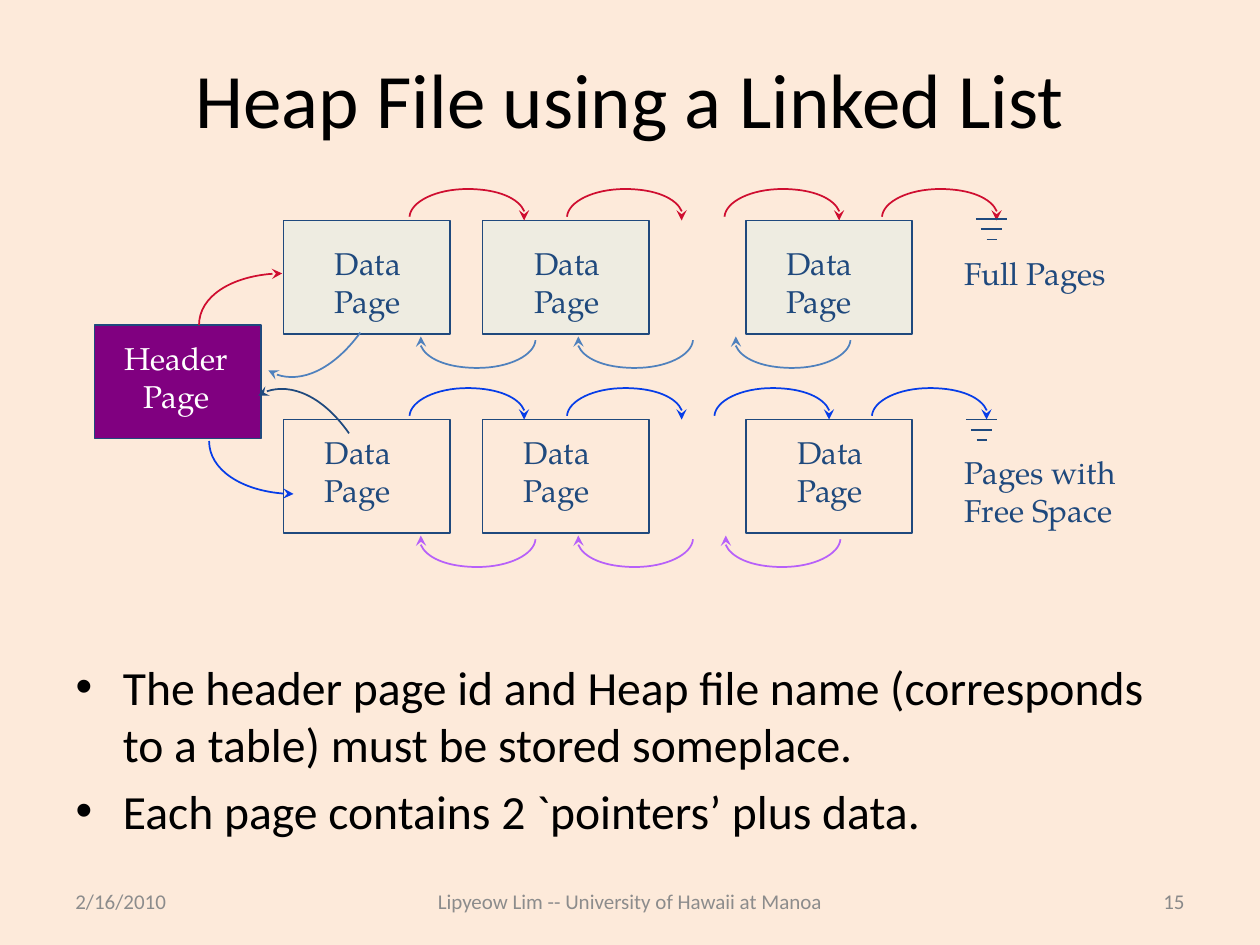
from dataclasses import dataclass
from typing import Any

from lxml.etree import SubElement
from pptx import Presentation
from pptx.dml.color import RGBColor as Rgb
from pptx.enum.shapes import MSO_CONNECTOR as Connector, MSO_SHAPE as Preset
from pptx.enum.text import MSO_ANCHOR as Anchor, MSO_AUTO_SIZE as AutoSize, PP_ALIGN as Align
from pptx.oxml.ns import qn
from pptx.util import Inches, Pt

Point = tuple[float, float]

COLORS = {
    "background": "FDEADA", "black": "000000", "white": "FFFFFF",
    "footer": "8C8C8C", "number": "898989", "navy": "1F497D",
    "full": "EEECE1", "header": "800080", "red": "CF0E30",
    "steel": "4F81BD", "blue": "063DE8", "violet": "B760F9",
}
TITLE_FONT = {"name": "Calibri", "size": Pt(44)}
BULLET_FONT = {"name": "Calibri", "size": Pt(27.2)}
FOOTER_FONT = {"name": "Calibri", "size": Pt(12)}
LABEL_FONT = {"name": "TeX Gyre Pagella", "size": Pt(18)}

PAGE_WIDTH, PAGE_HEIGHT = 1.32, 0.9
PAGE_LEFTS = (2.25, 3.83, 5.92)
HOP_WIDTH, HOP_HEIGHT = 0.92, 0.25
HOP = ((0, 0.22), (0.01, 0.1), (0.21, 0), (0.46, 0), (0.71, 0),
       (0.92, 0.1), (0.92, 0.22), (0.92, 0.23), (0.92, 0.24), (0.91, 0.25))
GROUND_WIDTHS = (0.25, 0.17, 0.08)
GROUND_GAP = 0.08


@dataclass
class PageList:
    top: float
    fill: str | None
    page_label_lefts: tuple[float, ...]
    page_label_top: float
    next_lefts: tuple[float, ...]
    next_color: str
    back_lefts: tuple[float, ...]
    back_color: str
    ground: Point
    caption: list[str]
    caption_box: tuple[float, float, float, float]


@dataclass
class HeaderPointer:
    curve: tuple[Point, ...]
    color: str


@dataclass
class Footer:
    wording: str
    left: float
    width: float
    align: Align
    color: str


PAGE_LISTS = (
    PageList(1.75, "full", (2.56, 4.14, 6.14), 1.89,
             (3.25, 4.5, 5.75, 7), "red", (3.33, 4.58, 5.83), "steel",
             (7.87, 1.74), ["Full Pages"], (7.56, 1.97, 1.34, 0.4)),
    PageList(3.33, None, (2.48, 4.06, 6.23), 3.39,
             (3.25, 4.5, 5.67, 6.92), "blue", (3.33, 4.58, 5.75), "violet",
             (7.79, 3.33), ["Pages with", "Free Space"], (7.56, 3.55, 1.41, 0.7)),
)
HEADER_POINTERS = (
    HeaderPointer(((1.58, 2.58), (1.58, 2.35), (1.88, 2.17), (2.24, 2.17)), "red"),
    HeaderPointer(((2.86, 2.64), (2.64, 2.94), (2.32, 3.07), (2.13, 2.94)), "steel"),
    HeaderPointer(((2.77, 3.44), (2.56, 3.14), (2.24, 3.01), (2.05, 3.14)), "navy"),
    HeaderPointer(((1.66, 3.5), (1.66, 3.73), (1.96, 3.92), (2.33, 3.92)), "blue"),
)
FOOTERS = (
    Footer("2/16/2010", 0.5, 2.33, Align.LEFT, "footer"),
    Footer("Lipyeow Lim -- University of Hawaii at Manoa", 3, 4, Align.CENTER, "footer"),
    Footer("15", 7.17, 2.33, Align.RIGHT, "number"),
)
BULLETS = [
    "The header page id and Heap file name (corresponds to a table) must be stored someplace.",
    "Each page contains 2 `pointers’ plus data.",
]


def rgb(color: str) -> Rgb:
    return Rgb.from_string(COLORS[color])


def write(frame: Any, lines: list[str], font_format: dict, color: str,
          align: Align | None = None, gap: float = 0) -> None:
    frame.text = "\n".join(lines)
    for index, paragraph in enumerate(frame.paragraphs):
        paragraph.alignment = align
        paragraph.space_before = Pt(gap if index else 0)
        for run in paragraph.runs:
            for name, value in font_format.items():
                setattr(run.font, name, value)
            run.font.color.rgb = rgb(color)


def place(holder: Any, left: float, top: float, width: float, height: float) -> None:
    box = {"left": left, "top": top, "width": width, "height": height}
    for name, value in box.items():
        setattr(holder, name, Inches(value))


def outline(shape: Any, color: str) -> None:
    shape.line.color.rgb = rgb(color)
    shape.line.width = Pt(1)


def draw_page(slide: Any, left: float, top: float, fill: str | None) -> None:
    page = slide.shapes.add_shape(
        Preset.RECTANGLE, *map(Inches, (left, top, PAGE_WIDTH, PAGE_HEIGHT)))
    page.shadow.inherit = False
    if fill:
        page.fill.solid()
        page.fill.fore_color.rgb = rgb(fill)
    else:
        page.fill.background()
    outline(page, "navy")


def draw_label(slide: Any, box: tuple[float, ...], lines: list[str],
               color: str = "navy", align: Align = Align.LEFT) -> None:
    frame = slide.shapes.add_textbox(*map(Inches, box)).text_frame
    frame.word_wrap = False
    frame.auto_size = AutoSize.SHAPE_TO_FIT_TEXT
    write(frame, lines, LABEL_FONT, color, align)


def draw_pointer(slide: Any, curve: tuple[Point, ...], color: str) -> None:
    start, *controls = [(Inches(x), Inches(y)) for x, y in curve]
    builder = slide.shapes.build_freeform(*start)
    builder.add_line_segments(controls, close=False)
    pointer = builder.convert_to_shape()
    outline_path = next(pointer.element.iter(qn("a:path")))
    segments = outline_path.findall(qn("a:lnTo"))
    for first in range(0, len(segments), 3):
        bezier = SubElement(outline_path, qn("a:cubicBezTo"))
        for segment in segments[first:first + 3]:
            bezier.append(segment[0])
            outline_path.remove(segment)
    pointer.shadow.inherit = False
    pointer.fill.background()
    outline(pointer, color)
    SubElement(pointer.element.spPr.find(qn("a:ln")), qn("a:tailEnd"), type="stealth")


def draw_hop(slide: Any, left: float, top: float, color: str, back: bool = False) -> None:
    hop = [(HOP_WIDTH - x, HOP_HEIGHT - y) if back else (x, y) for x, y in HOP]
    draw_pointer(slide, tuple((left + x, top + y) for x, y in hop), color)


def draw_ground(slide: Any, center: float, top: float) -> None:
    for index, width in enumerate(GROUND_WIDTHS):
        y = Inches(top + index * GROUND_GAP)
        bar = slide.shapes.add_connector(
            Connector.STRAIGHT, Inches(center - width / 2), y, Inches(center + width / 2), y)
        outline(bar, "navy")
        SubElement(bar.element.spPr, qn("a:effectLst"))


def draw_page_list(slide: Any, pages: PageList) -> None:
    for left, label_left in zip(PAGE_LEFTS, pages.page_label_lefts):
        draw_page(slide, left, pages.top, pages.fill)
        draw_label(slide, (label_left, pages.page_label_top, 0.73, 0.7), ["Data", "Page"])
    for left in pages.next_lefts:
        draw_hop(slide, left, pages.top - HOP_HEIGHT, pages.next_color)
    for left in pages.back_lefts:
        draw_hop(slide, left, pages.top + PAGE_HEIGHT + 0.02, pages.back_color, back=True)
    draw_ground(slide, *pages.ground)
    draw_label(slide, pages.caption_box, pages.caption)


def draw_footer(slide: Any, footer: Footer) -> None:
    frame = slide.shapes.add_textbox(
        *map(Inches, (footer.left, 6.95, footer.width, 0.4))).text_frame
    frame.word_wrap = True
    frame.vertical_anchor = Anchor.MIDDLE
    write(frame, [footer.wording], FOOTER_FONT, footer.color, footer.align)


def main() -> None:
    """Build the heap file slide and save it."""
    deck = Presentation()
    deck.slide_width, deck.slide_height = Inches(10), Inches(7.5)
    slide = deck.slides.add_slide(deck.slide_layouts[1])
    slide.background.fill.solid()
    slide.background.fill.fore_color.rgb = rgb("background")

    title, body = slide.placeholders
    place(title, 0.5, 0.3, 9, 0.95)
    title.text_frame.vertical_anchor = Anchor.MIDDLE
    write(title.text_frame, ["Heap File using a Linked List"], TITLE_FONT, "black", Align.CENTER)
    place(body, 0.5, 5.17, 9, 1.53)
    write(body.text_frame, BULLETS, BULLET_FONT, "black", gap=5.4)
    for holder in (title, body):
        holder.text_frame.auto_size = AutoSize.NONE

    for pages in PAGE_LISTS:
        draw_page_list(slide, pages)
    draw_page(slide, 0.75, 2.58, "header")
    draw_label(slide, (0.84, 2.64, 1.12, 0.7), ["Header", "Page"], "white", Align.CENTER)
    for pointer in HEADER_POINTERS:
        draw_pointer(slide, pointer.curve, pointer.color)
    for footer in FOOTERS:
        draw_footer(slide, footer)
    deck.save("out.pptx")


if __name__ == "__main__":
    main()
